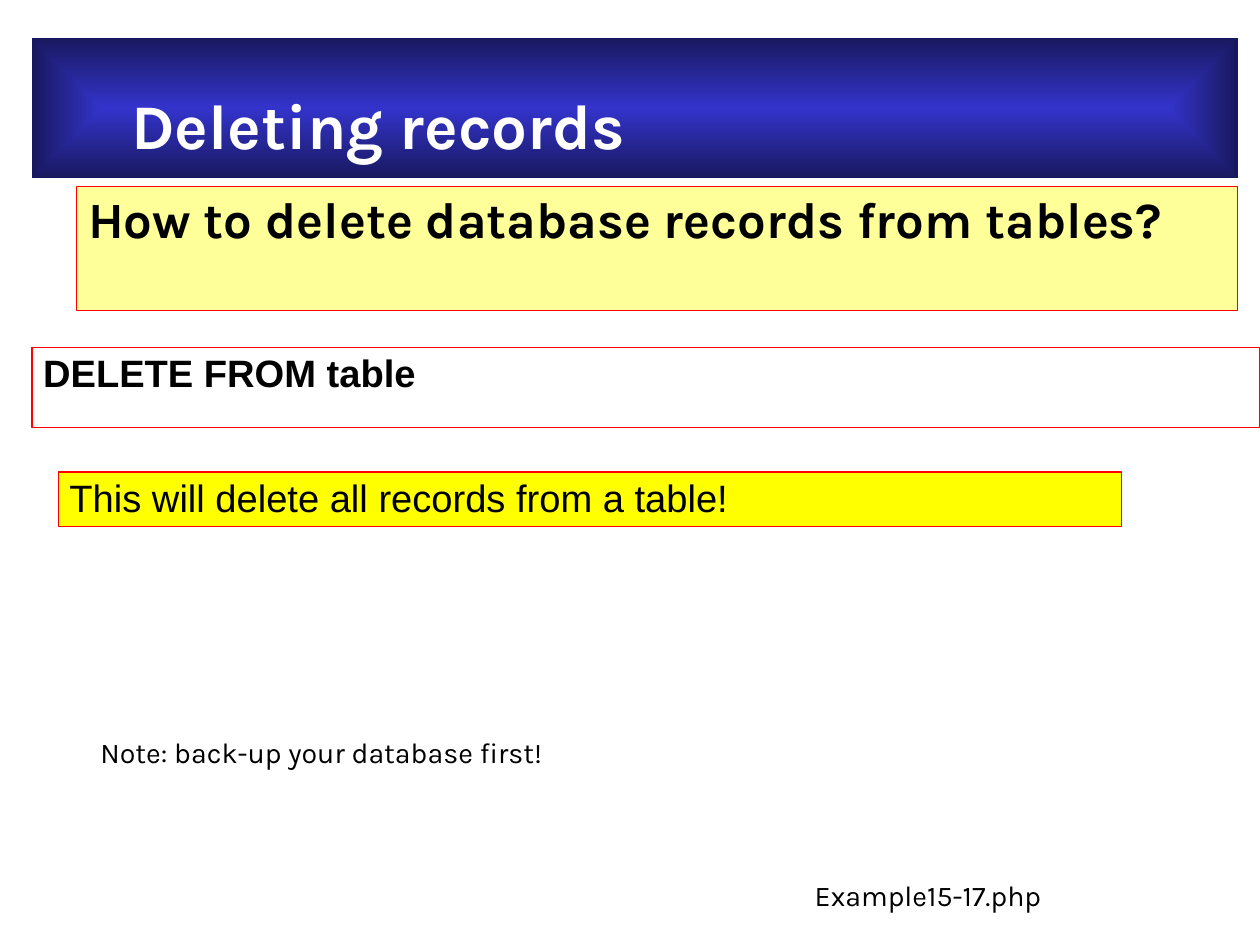
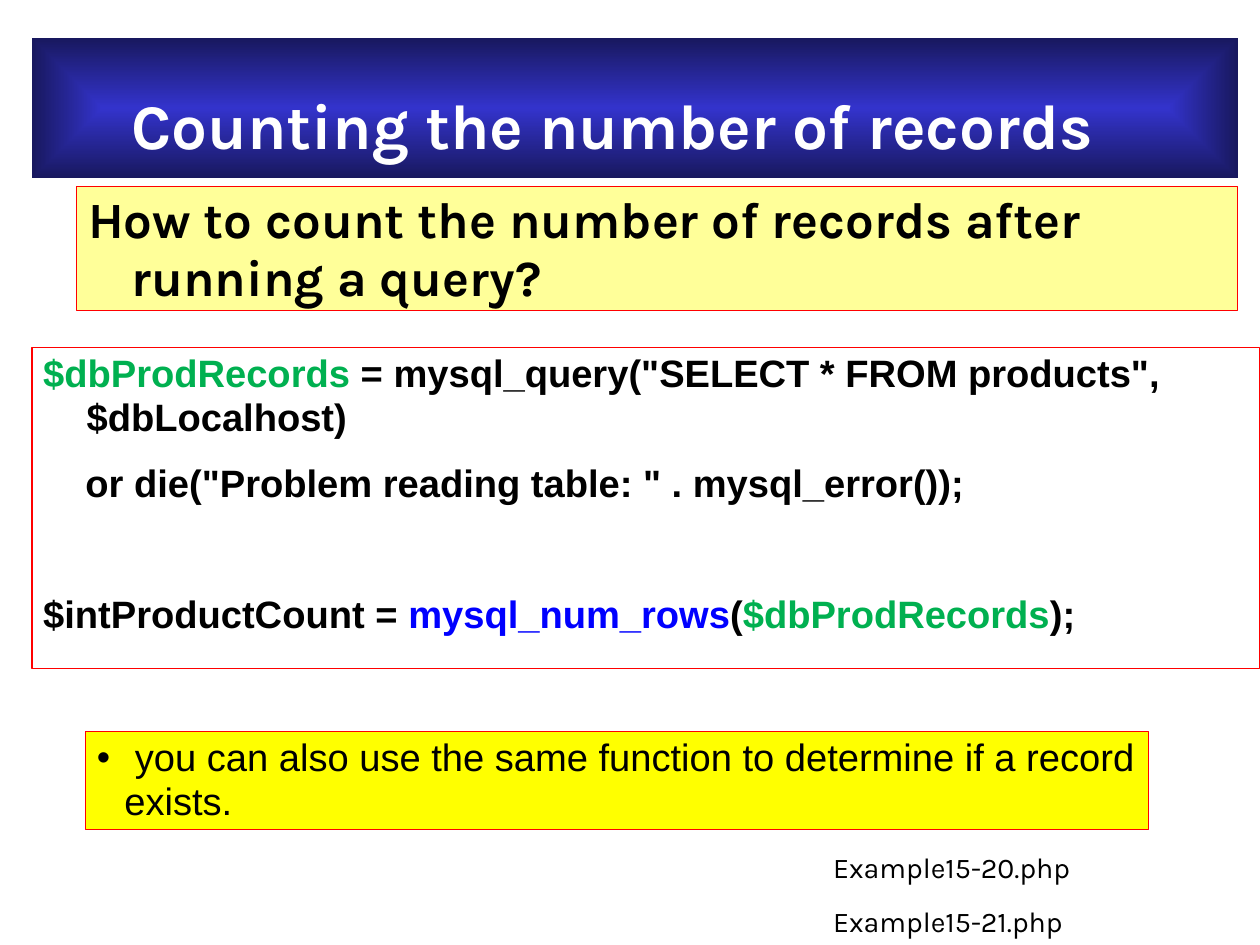
from pptx import Presentation
from pptx.dml.color import RGBColor
from pptx.enum.shapes import MSO_SHAPE
from pptx.enum.text import MSO_ANCHOR, MSO_AUTO_SIZE, PP_ALIGN
from pptx.oxml import parse_xml
from pptx.oxml.ns import nsdecls, qn
from pptx.util import Inches, Pt

COLORS = {
    "white": "FFFFFF", "black": "000000", "red": "FF0000",
    "band_mid": "3333CC", "band_edge": "18185E",
    "question": "FFFF99", "remark": "FFFF00",
    "variable": "00B050", "function": "0000FF",
}
HEAD_FONT, CODE_FONT = "Karla", "Arial"
HANG = 0.38          # hanging indent of questions and code
GAP = 14.3           # points after a question or code paragraph

# Slide of 28 by 21 centimetres, in inches
SLIDE_W, SLIDE_H = 28 / 2.54, 21 / 2.54

# Boxes: left, top, width, height
TITLE_BOX = (0.28, 0.33, 10.55, 1.23)
QUESTION_BOX = (0.67, 1.63, 10.16, 1.09)


def rgb(name):
    return RGBColor.from_string(COLORS[name])


def place(sp, box):
    sp.left, sp.top, sp.width, sp.height = map(Inches, box)


def frame(sp, insets=(0.1, 0.05, 0.1, 0.05)):
    """Give the text frame of a shape its insets and a fixed size."""
    tf = sp.text_frame
    tf.word_wrap = True
    tf.auto_size = MSO_AUTO_SIZE.NONE
    tf.vertical_anchor = MSO_ANCHOR.TOP
    tf.margin_left, tf.margin_top, tf.margin_right, tf.margin_bottom = map(Inches, insets)
    return tf


def write(p, runs, size=24, font=CODE_FONT, bold=False, color="black",
          left=0, first=0, after=0, bullet=None):
    """Fill a paragraph with text, or with (text, colour) pairs."""
    p.alignment = PP_ALIGN.LEFT
    p.line_spacing = 0.95
    p.space_before, p.space_after = Pt(0), Pt(after)
    pPr = p._p.get_or_add_pPr()
    pPr.set("marL", str(Inches(left)))
    pPr.set("indent", str(Inches(first)))
    if bullet:
        pPr.append(parse_xml(f'<a:buFont {nsdecls("a")} typeface="{font}"/>'))
        pPr.append(parse_xml(f'<a:buChar {nsdecls("a")} char="{bullet}"/>'))
    else:
        pPr.append(parse_xml(f'<a:buNone {nsdecls("a")}/>'))
    for text, name in [(runs, color)] if isinstance(runs, str) else runs:
        r = p.add_run()
        r.text = text
        r.font.name, r.font.size, r.font.bold = font, Pt(size), bold
        r.font.color.rgb = rgb(name)


def paint(sp, fill):
    """Flat fill with the thin red outline of all panels."""
    sp.fill.solid()
    sp.fill.fore_color.rgb = rgb(fill)
    sp.line.color.rgb = rgb("red")
    sp.line.width = Pt(0.74)


def panel(s, box, fill):
    sp = s.shapes.add_shape(MSO_SHAPE.RECTANGLE, *map(Inches, box))
    sp.shadow.inherit = False
    paint(sp, fill)
    return frame(sp)


def title_band(s, text, box=TITLE_BOX):
    sp = s.shapes.title
    place(sp, box)
    # Gradient that darkens from the centre to the edges
    sp.fill.gradient()
    for stop, name in zip(sp.fill.gradient_stops, ("band_mid", "band_edge")):
        stop.color.rgb = rgb(name)
    grad = sp._element.spPr.find(qn("a:gradFill"))
    grad.replace(grad.find(qn("a:lin")), parse_xml(
        f'<a:path {nsdecls("a")} path="rect">'
        '<a:fillToRect l="50000" t="50000" r="50000" b="50000"/></a:path>'))
    tf = frame(sp, (0.87, 0.47, 0, 0))
    write(tf.paragraphs[0], text, size=40, font=HEAD_FONT, bold=True, color="white")


def question(s, text, box=QUESTION_BOX):
    sp = s.placeholders[1]
    place(sp, box)
    paint(sp, "question")
    write(frame(sp).paragraphs[0], text, size=32, font=HEAD_FONT, bold=True,
          left=HANG, first=-HANG, after=GAP)


def code(s, lines, height):
    """Each line is its runs and any format that differs from the rest."""
    tf = panel(s, (0.28, 3.04, 10.74, height), "white")
    for i, (runs, changes) in enumerate(lines):
        p = tf.paragraphs[0] if i == 0 else tf.add_paragraph()
        write(p, runs, **{"bold": True, "left": HANG, "first": -HANG, "after": GAP, **changes})


def remark(s, text, box, **fmt):
    write(panel(s, box, "remark").paragraphs[0], text, **fmt)


def label(s, text, left, top, width=2.4):
    sp = s.shapes.add_textbox(*map(Inches, (left, top, width, 0.39)))
    write(frame(sp).paragraphs[0], text, size=18, font=HEAD_FONT)


def new_slide(prs, title, ask):
    s = prs.slides.add_slide(prs.slide_layouts[1])
    title_band(s, title)
    question(s, ask)
    return s


def deleting_slide(prs):
    s = new_slide(prs, "Deleting records", "How to delete database records from tables?")
    code(s, [("DELETE FROM table", {})], height=0.7)
    label(s, "Example15-17.php", 7.03, 7.65)
    remark(s, "This will delete all records from a table!", (0.51, 4.13, 9.3, 0.48))
    label(s, "Note: back-up your database first!", 0.78, 6.4, width=4.23)


def counting_slide(prs):
    s = new_slide(prs, "Counting the number of records",
                  "How to count the number of records after running a query?")
    records = ("$dbProdRecords", "variable")
    code(s, [
        ([records, (' = mysql_query("SELECT * FROM products", $dbLocalhost)', "black")], {}),
        ('or die("Problem reading table: " . mysql_error());',
         {"left": 0.37, "first": 0, "after": 55.5}),
        ([("$intProductCount = ", "black"), ("mysql_num_rows", "function"),
          ("(", "black"), records, (");", "black")], {}),
    ], height=2.81)
    remark(s, " you can also use the same function to determine if a record exists.",
           (0.75, 6.4, 9.3, 0.86), left=0.24, first=-0.24, bullet="•")
    for i, name in enumerate(("Example15-20.php", "Example15-21.php")):
        label(s, name, 7.19, 7.41 + i * 0.47)


prs = Presentation()
prs.slide_width, prs.slide_height = Inches(SLIDE_W), Inches(SLIDE_H)
deleting_slide(prs)
counting_slide(prs)
prs.save("out.pptx")
